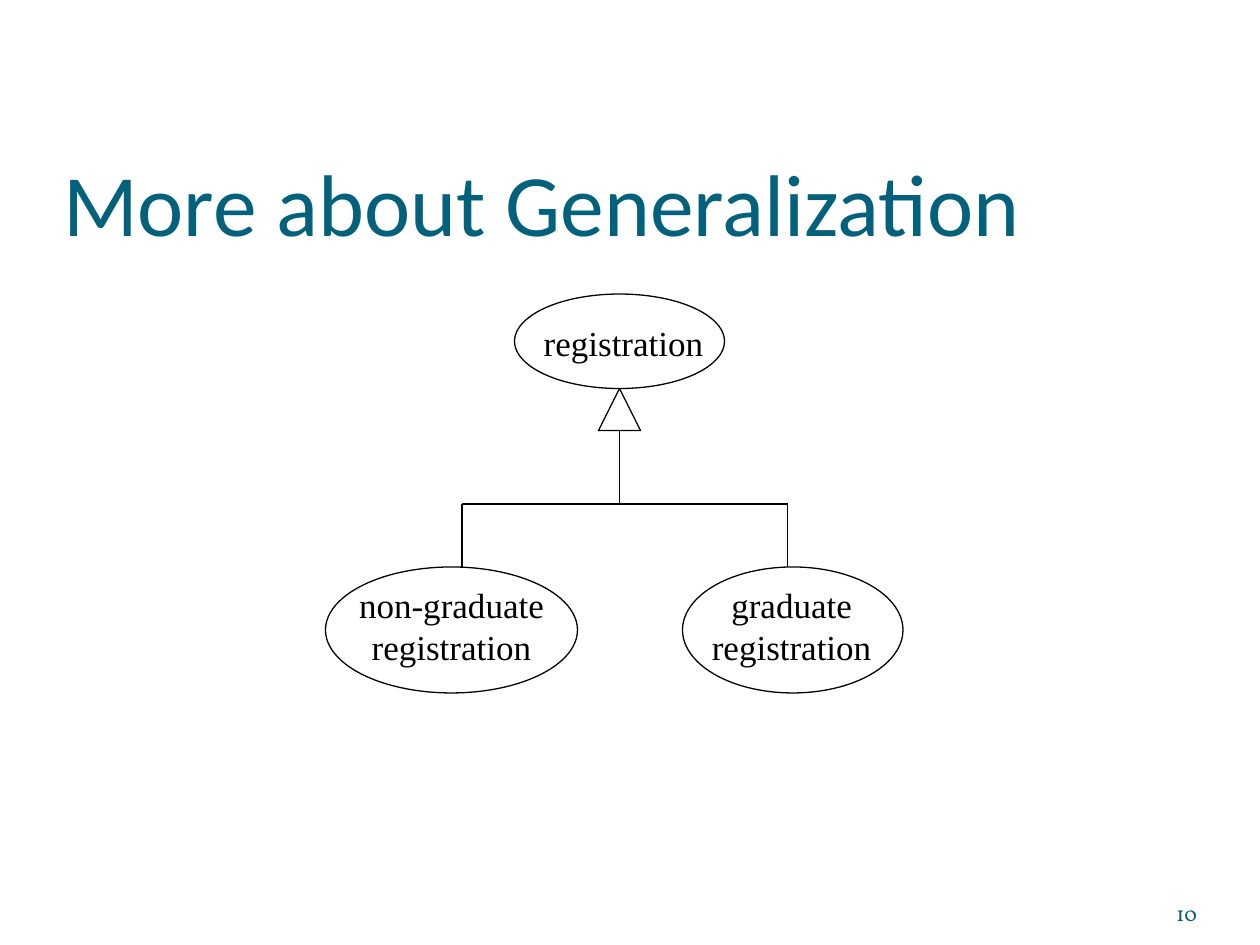
from pptx import Presentation
from pptx.dml.color import RGBColor
from pptx.enum.shapes import MSO_CONNECTOR, MSO_SHAPE
from pptx.enum.text import MSO_ANCHOR, MSO_AUTO_SIZE, PP_ALIGN
from pptx.oxml.ns import qn
from pptx.util import Pt
from lxml.etree import SubElement

PX = 7620
COLORS = {"title": "04617B", "number": "045D75", "ink": "000000"}


def px(*lengths):
    return [length * PX for length in lengths]


def write(frame, lines, font, size, color, align, **frame_format):
    for name, value in frame_format.items():
        setattr(frame, name, value)
    frame.text = "\n".join(lines)
    for paragraph in frame.paragraphs:
        paragraph.alignment = align
        run_font = paragraph.runs[0].font
        run_font.name = font
        run_font.size = Pt(size)
        run_font.color.rgb = RGBColor.from_string(COLORS[color])


deck = Presentation()
deck.slide_width, deck.slide_height = px(1200, 900)
slide = deck.slides.add_slide(deck.slide_layouts[5])
shapes = slide.shapes

title = shapes.title
title.left, title.top, title.width, title.height = px(60, 92, 1080, 150)
write(title.text_frame, ["More about Generalization"], "Calibri", 50, "title", PP_ALIGN.LEFT,
      vertical_anchor=MSO_ANCHOR.BOTTOM, auto_size=MSO_AUTO_SIZE.NONE, word_wrap=True,
      margin_left=0, margin_top=6 * PX, margin_right=0, margin_bottom=0)

page_number = shapes.add_textbox(*px(1040, 834, 100, 48))
write(page_number.text_frame, ["10"], "Vollkorn", 12, "number", PP_ALIGN.RIGHT,
      vertical_anchor=MSO_ANCHOR.BOTTOM, word_wrap=True,
      margin_left=0, margin_top=0, margin_right=0, margin_bottom=0)

outlines = [
    (MSO_SHAPE.OVAL, (490, 280, 200, 90)),
    (MSO_SHAPE.OVAL, (650, 540, 210, 120)),
    (MSO_SHAPE.OVAL, (310, 540, 240, 120)),
    (MSO_SHAPE.ISOSCELES_TRIANGLE, (570, 370, 40, 40)),
]
for kind, box in outlines:
    outline = shapes.add_shape(kind, *px(*box))
    outline.shadow.inherit = False
    outline.fill.background()
    outline.line.color.rgb = RGBColor.from_string(COLORS["ink"])
    outline.line.width = Pt(0.75)

use_cases = [
    (["registration"], (506, 300, 184, 52), PP_ALIGN.LEFT),
    (["graduate", "registration"], (658, 550, 192, 92), PP_ALIGN.CENTER),
    (["non-graduate", "registration"], (320, 550, 220, 92), PP_ALIGN.CENTER),
]
for lines, box, align in use_cases:
    use_case = shapes.add_textbox(*px(*box))
    write(use_case.text_frame, lines, "Times New Roman", 20, "ink", align,
          word_wrap=True, auto_size=MSO_AUTO_SIZE.SHAPE_TO_FIT_TEXT)

branches = [
    (440, 480, 440, 540),
    (750, 480, 750, 540),
    (440, 480, 750, 480),
    (590, 410, 590, 480),
]
for ends in branches:
    branch = shapes.add_connector(MSO_CONNECTOR.STRAIGHT, *px(*ends))
    branch.line.color.rgb = RGBColor.from_string(COLORS["ink"])
    branch.line.width = Pt(0.75)
    SubElement(branch._element.spPr, qn("a:effectLst"))

deck.save("out.pptx")
